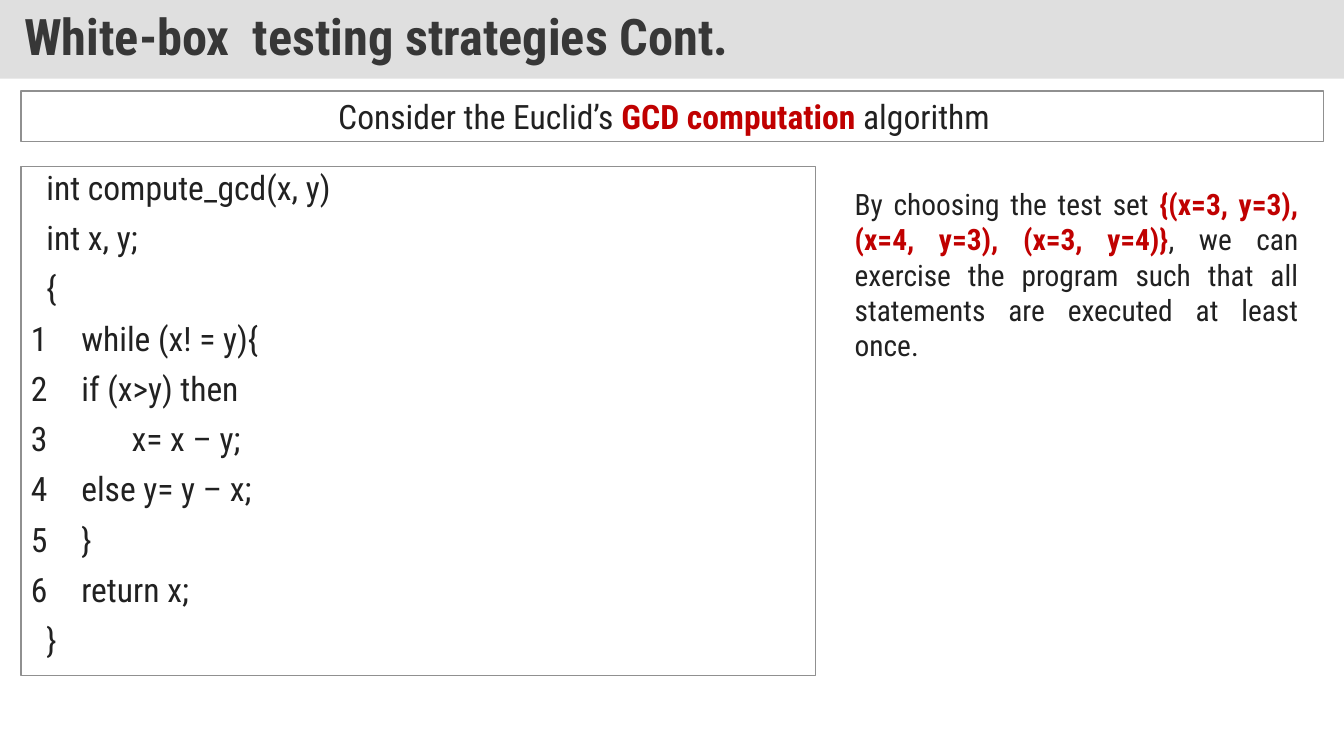
from lxml import etree
from pptx import Presentation
from pptx.dml.color import RGBColor
from pptx.enum import text as t
from pptx.oxml import ns
from pptx.util import Cm, Pt

FONT = "Roboto Condensed"
INK, RED, TITLE_INK = "212121", "C00000", "373737"
BAND, BORDER, WHITE = "C0C0C0", "909090", "FFFFFF"

CODE_LINES = [
    "  int compute_gcd(x, y)",
    "  int x, y;",
    "  {",
    "1\twhile (x! = y){",
    "2\tif (x>y) then",
    "3\t\tx= x – y;",
    "4\telse y= y – x;",
    "5\t}",
    "6\treturn x;",
    "  }",
]


def rgb(hex_colour):
    return RGBColor.from_string(hex_colour)


def add_run(paragraph, words, size, colour=INK, bold=False):
    run = paragraph.add_run()
    run.text = words
    run.font.name = FONT
    run.font.size = Pt(size)
    run.font.bold = bold
    run.font.color.rgb = rgb(colour)


def add_panel(slide, box, framed=True):
    """Add a wrapping text box, with a white fill and grey border if framed."""
    panel = slide.shapes.add_textbox(*map(Cm, box))
    panel.text_frame.word_wrap = True
    if framed:
        panel.fill.solid()
        panel.fill.fore_color.rgb = rgb(WHITE)
        panel.line.color.rgb = rgb(BORDER)
        panel.line.width = Pt(1)
    return panel.text_frame


def place_title(slide, box):
    title = slide.shapes.title
    title.left, title.top, title.width, title.height = map(Cm, box)
    title.fill.solid()
    title.fill.fore_color.rgb = rgb(BAND)
    band_colour = title.fill._xPr.find(".//" + ns.qn("a:srgbClr"))
    etree.SubElement(band_colour, ns.qn("a:alpha"), val="50000")

    frame = title.text_frame
    frame.word_wrap = True
    frame.auto_size = t.MSO_AUTO_SIZE.NONE
    frame.vertical_anchor = t.MSO_ANCHOR.MIDDLE
    frame.margin_left = frame.margin_right = Cm(0.61)
    frame.margin_top = frame.margin_bottom = Cm(0.3)
    heading = frame.paragraphs[0]
    heading.alignment = t.PP_ALIGN.LEFT
    heading.line_spacing = 0.9
    add_run(heading, "White-box  testing strategies Cont.", 36, TITLE_INK, True)


def add_topic(slide, box):
    frame = add_panel(slide, box)
    frame.margin_right = Cm(0.66)
    topic = frame.paragraphs[0]
    topic.alignment = t.PP_ALIGN.CENTER
    add_run(topic, "Consider the Euclid’s ", 24)
    add_run(topic, "GCD computation ", 24, RED, True)
    add_run(topic, "algorithm", 24)


def add_code(slide, box):
    frame = add_panel(slide, box)
    for number, code in enumerate(CODE_LINES):
        line = frame.add_paragraph() if number else frame.paragraphs[0]
        line.alignment = t.PP_ALIGN.JUSTIFY
        line.line_spacing = 0.9
        line.space_before = Pt(10 if number else 0)
        add_run(line, code, 24)


def add_test_set(slide, box):
    remark = add_panel(slide, box, framed=False).paragraphs[0]
    remark.alignment = t.PP_ALIGN.JUSTIFY
    add_run(remark, "By choosing the test set ", 21)
    add_run(remark, "{(x=3, y=3), (x=4, y=3), (x=3, y=4)}", 21, RED, True)
    add_run(remark, ", we can exercise the program such that all "
                    "statements are executed at least once.", 21)


def main():
    deck = Presentation()
    deck.slide_width, deck.slide_height = Cm(33.87), Cm(19.05)
    slide = deck.slides.add_slide(deck.slide_layouts[5])
    place_title(slide, (0, 0, 33.87, 1.98))
    add_code(slide, (0.53, 4.19, 20.02, 12.83))
    add_test_set(slide, (21.29, 4.57, 11.68, 4.75))
    add_topic(slide, (0.53, 2.29, 32.82, 1.27))
    deck.save("out.pptx")


if __name__ == "__main__":
    main()
